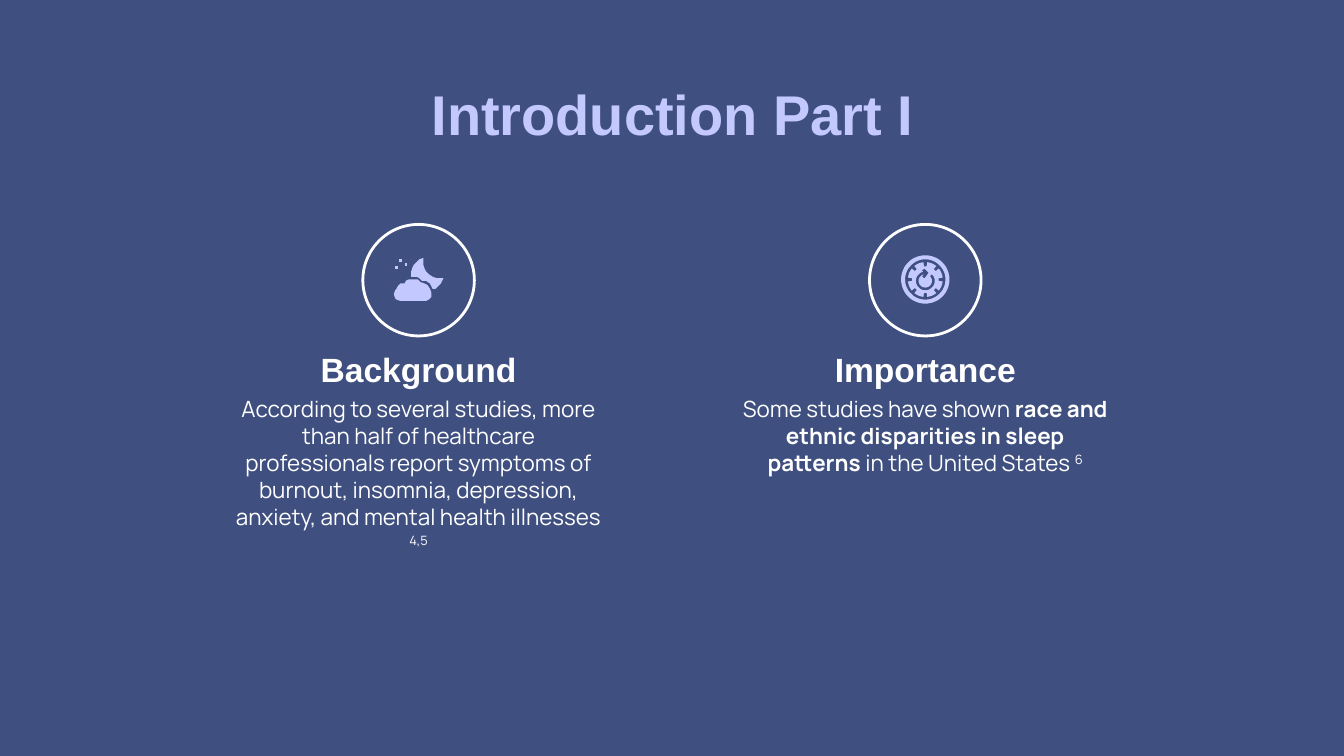
import math

import pptx
import pptx.dml.color
import pptx.enum.shapes
import pptx.enum.text
import pptx.util

Inches = pptx.util.Inches
ANCHOR = pptx.enum.text.MSO_ANCHOR
SHAPE = pptx.enum.shapes.MSO_SHAPE
RGB = pptx.dml.color.RGBColor.from_string
COLORS = {"background": "3F4F80", "accent": "C3C9FF", "text": "FFFFFF"}

deck = pptx.Presentation()
deck.slide_width, deck.slide_height = Inches(10), Inches(10) * 9 // 16
slide = deck.slides.add_slide(deck.slide_layouts[6])
slide.background.fill.solid()
slide.background.fill.fore_color.rgb = RGB(COLORS["background"])


def add_text(box, runs, size, font, color="text", anchor=ANCHOR.TOP):
    """Add a centred paragraph; each run is (text, style), style "", "bold" or "super"."""
    frame = slide.shapes.add_textbox(*map(Inches, box)).text_frame
    frame.word_wrap = True
    frame.vertical_anchor = anchor
    frame.margin_left = frame.margin_right = Inches(0.1)
    frame.margin_top = frame.margin_bottom = Inches(0.1)
    paragraph = frame.paragraphs[0]
    paragraph.alignment = pptx.enum.text.PP_ALIGN.CENTER
    for text, style in runs:
        run = paragraph.add_run()
        run.text = text
        run.font.size = pptx.util.Pt(size)
        run.font.name = font
        run.font.bold = style == "bold"
        run.font.color.rgb = RGB(COLORS[color])
        if style == "super":
            run.font._element.set("baseline", "30000")


def add_icon_part(*contours):
    """Fill closed contours given in inches; inner contours become holes."""
    # The builder rounds to whole units, so it works in thousandths of an inch.
    contours = [[(x * 1000, y * 1000) for x, y in contour] for contour in contours]
    builder = slide.shapes.build_freeform(*contours[0][0], scale=Inches(1) / 1000)
    for number, contour in enumerate(contours):
        if number:
            builder.move_to(*contour[0])
        builder.add_line_segments(contour[1:], close=True)
    part = builder.convert_to_shape()
    part.shadow.inherit = False
    part.fill.solid()
    part.fill.fore_color.rgb = RGB(COLORS["accent"])
    part.line.fill.background()


add_text((0.79, 0.49, 8.43, 0.63), [("Introduction Part I", "bold")], 30, "Arial", "accent")

columns = [
    (1.65, "Background", [
        ("According to several studies, more than half of healthcare professionals "
         "report symptoms of burnout, insomnia, depression, anxiety, and mental "
         "health illnesses", ""),
        (" 4,5", "super"),
    ]),
    (5.42, "Importance", [
        ("Some studies have shown", ""),
        (" race and ethnic disparities in sleep patterns ", "bold"),
        ("in the United States ", ""),
        ("6", "super"),
    ]),
]
for left, heading, body in columns:
    add_text((left, 2.84, 2.93, 1.59), body, 12, "Manrope")
    add_text((left, 2.6, 2.93, 0.4), [(heading, "bold")], 18, "Arial", anchor=ANCHOR.BOTTOM)
    circle = slide.shapes.add_shape(
        SHAPE.ROUNDED_RECTANGLE, Inches(left + 1.05), Inches(1.67), Inches(0.83), Inches(0.83))
    circle.adjustments[0] = 0.5
    circle.shadow.inherit = False
    circle.fill.background()
    circle.line.color.rgb = RGB(COLORS["text"])
    circle.line.width = pptx.util.Pt(1.5)

# Night icon: cloud, moon and three stars
cloud = [(3.07, 2.08), (3.04, 2.08), (3.02, 2.09), (3.01, 2.11), (2.98, 2.11), (2.96, 2.13),
         (2.95, 2.15), (2.94, 2.16), (2.93, 2.19), (2.94, 2.22), (2.95, 2.23), (2.98, 2.24),
         (3.17, 2.24), (3.19, 2.23), (3.21, 2.21), (3.21, 2.18), (3.2, 2.15), (3.18, 2.12),
         (3.16, 2.11), (3.13, 2.1), (3.11, 2.08), (3.09, 2.08)]
moon = [(3.15, 1.92), (3.12, 1.93), (3.1, 1.95), (3.08, 1.97), (3.07, 1.99), (3.06, 2.02),
        (3.06, 2.06), (3.1, 2.06), (3.12, 2.07), (3.14, 2.09), (3.17, 2.09), (3.2, 2.11),
        (3.22, 2.15), (3.24, 2.15), (3.26, 2.13), (3.28, 2.11), (3.3, 2.07), (3.25, 2.07),
        (3.22, 2.06), (3.19, 2.04), (3.17, 2.02), (3.16, 2), (3.15, 1.97)]
add_icon_part(cloud)
add_icon_part(moon)
for x, y in [(2.97, 1.93), (2.94, 1.98), (3.01, 1.96)]:
    add_icon_part([(x, y), (x, y + 0.02), (x + 0.02, y + 0.02), (x + 0.02, y)])

# Clock icon: a face cut by eight ticks and a turning arrow, inside a rim
polar_face = []
for tick in range(0, 360, 45):
    polar_face += [(0.1, tick - 6), (0.1, tick + 6)]
    polar_face += [(0.13, tick + turn) for turn in (6, 14, 22.5, 31, 39)]
face = [(6.885 + radius * math.cos(math.radians(angle)),
         2.08 + radius * math.sin(math.radians(angle))) for radius, angle in polar_face]

outer_arc, inner_arc = (
    [(6.885 + radius * math.cos(math.radians(angle)),
      2.09 + radius * math.sin(math.radians(angle))) for angle in range(-45, 256, 15)]
    for radius in (0.07, 0.05))
arrowhead = [(6.86, 2.01), (6.88, 2), (6.91, 2.03), (6.88, 2.07), (6.86, 2.06)]
add_icon_part(face, outer_arc + arrowhead + inner_arc[::-1])

rim_circles = [
    [(6.885 + radius * math.cos(math.radians(angle)),
      2.08 + radius * math.sin(math.radians(angle))) for angle in range(0, 360, 6)]
    for radius in (0.15, 0.18)]
add_icon_part(*rim_circles)

deck.save("out.pptx")
